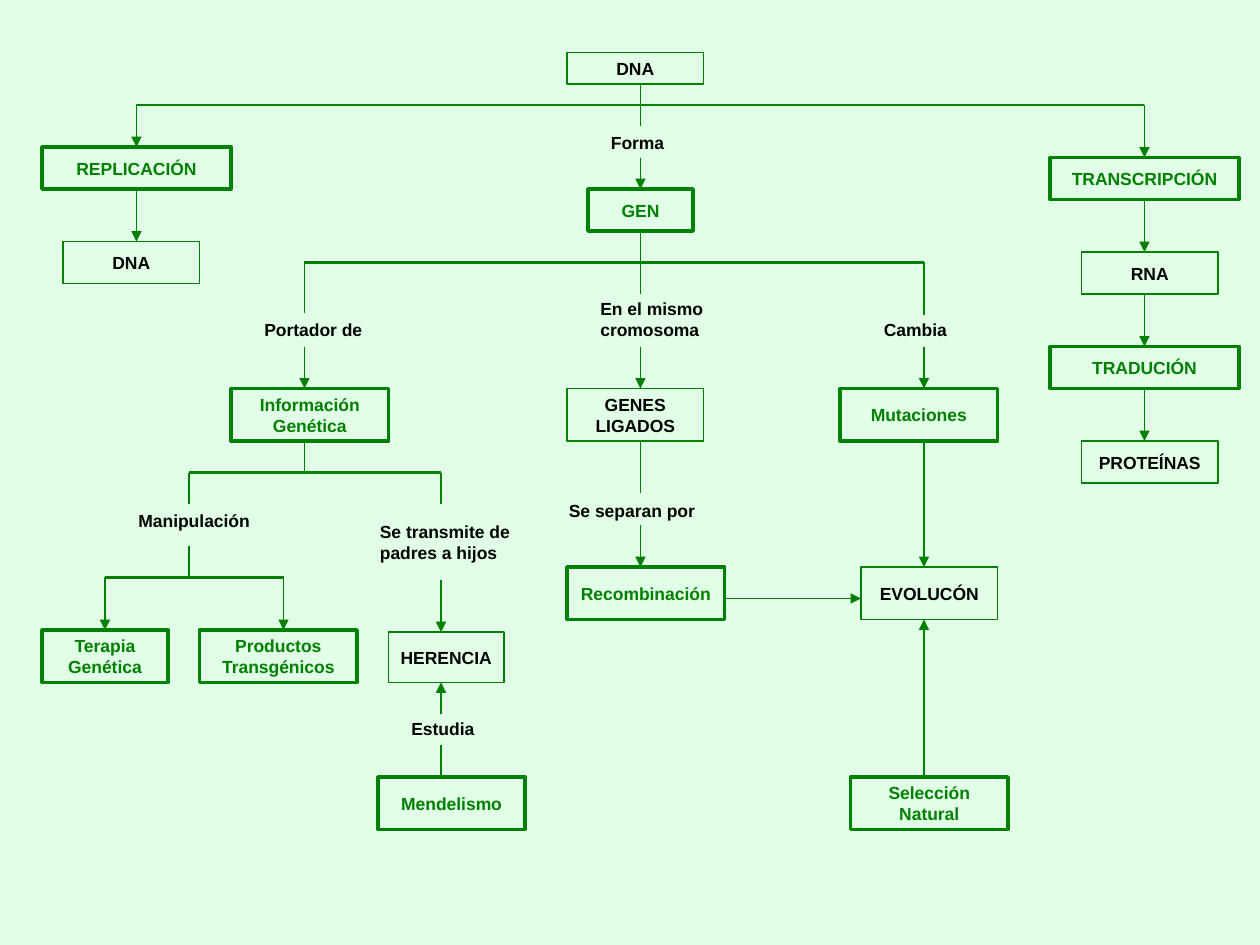
from dataclasses import dataclass

from pptx import Presentation
from pptx.dml.color import RGBColor
from pptx.enum.shapes import MSO_CONNECTOR, MSO_SHAPE
from pptx.enum.text import MSO_ANCHOR, MSO_AUTO_SIZE, PP_ALIGN
from pptx.oxml.ns import qn
from pptx.util import Emu, Pt
from lxml.etree import SubElement


@dataclass(frozen=True)
class Theme:
    back: RGBColor = RGBColor(0xE1, 0xFF, 0xE6)
    green: RGBColor = RGBColor(0x00, 0x80, 0x00)
    black: RGBColor = RGBColor(0, 0, 0)
    font: str = "Arial"
    size: Pt = Pt(10)
    thin: Pt = Pt(0.75)
    rail: Pt = Pt(1.5)
    thick: Pt = Pt(2)


THEME = Theme()
EMU_PER_PX = 7620

KEY_BOXES = [
    ("REPLICACIÓN", 40, 140, 180, 40),
    ("TRANSCRIPCIÓN", 1000, 150, 180, 40),
    ("TRADUCIÓN", 1000, 330, 180, 40),
    ("GEN", 560, 180, 100, 40),
    ("Información\nGenética", 220, 370, 150, 50),
    ("Mutaciones", 800, 370, 150, 50),
    ("Recombinación", 540, 540, 150, 50),
    ("Terapia\nGenética", 40, 600, 120, 50),
    ("Productos\nTransgénicos", 190, 600, 150, 50),
    ("Mendelismo", 360, 740, 140, 50),
    ("Selección\nNatural", 810, 740, 150, 50),
]
PLAIN_BOXES = [
    ("DNA", 540, 50, 130, 30),
    ("DNA", 60, 230, 130, 40),
    ("RNA", 1030, 240, 130, 40),
    ("PROTEÍNAS", 1030, 420, 130, 40),
    ("GENES\nLIGADOS", 540, 370, 130, 50),
    ("EVOLUCÓN", 820, 540, 130, 50),
    ("HERENCIA", 370, 602, 110, 48),
]
LABELS = [
    ("Forma", 570, 120, 90, 32),
    ("Portador de", 240, 298, 130, 32),
    ("En el mismo cromosoma", 560, 278, 130, 53),
    ("Cambia", 830, 298, 100, 32),
    ("Manipulación", 120, 480, 160, 32),
    ("Se transmite de padres a hijos", 350, 490, 160, 53),
    ("Se separan por", 530, 470, 160, 32),
    ("Estudia", 380, 678, 100, 32),
]
RAILS = [(100, 130, 1090), (250, 290, 880), (450, 180, 420), (550, 100, 270)]
STEMS = [
    (610, 80, 100), (610, 100, 120), (610, 220, 280), (610, 420, 470),
    (290, 249, 298), (290, 420, 450), (880, 250, 300),
    (180, 450, 480), (180, 520, 550), (420, 450, 480), (420, 710, 740),
]
ARROWS = [
    (130, 100, 140), (130, 180, 230),
    (610, 150, 180), (610, 330, 370), (610, 500, 540),
    (290, 330, 370), (880, 330, 370), (880, 420, 540), (880, 740, 590),
    (100, 550, 600), (270, 550, 600), (420, 552, 602), (420, 680, 650),
    (1090, 100, 150), (1090, 190, 240), (1090, 280, 330), (1090, 370, 420),
]


def px(*values):
    return [Emu(v * EMU_PER_PX) for v in values]


def add_line(s, x1, y1, x2, y2, width=THEME.thin, arrow=False):
    line = s.shapes.add_connector(MSO_CONNECTOR.STRAIGHT, *px(x1, y1, x2, y2))
    line.line.color.rgb = THEME.green
    line.line.width = width
    if arrow:
        SubElement(line.line._get_or_add_ln(), qn("a:tailEnd"), type="triangle")
    SubElement(line._element.spPr, qn("a:effectLst"))


def write(tf, text, color, align):
    tf.text = text
    for p in tf.paragraphs:
        p.alignment = align
        p.font.name = THEME.font
        p.font.size = THEME.size
        p.font.bold = True
        p.font.color.rgb = color


def add_box(s, text, x, y, w, h, color, width):
    sp = s.shapes.add_shape(MSO_SHAPE.RECTANGLE, *px(x, y, w, h))
    sp.shadow.inherit = False
    sp.fill.solid()
    sp.fill.fore_color.rgb = THEME.back
    sp.line.color.rgb = THEME.green
    sp.line.width = width
    tf = sp.text_frame
    tf.word_wrap = False
    tf.vertical_anchor = MSO_ANCHOR.MIDDLE
    write(tf, text, color, PP_ALIGN.CENTER)


def add_label(s, text, x, y, w, h):
    tf = s.shapes.add_textbox(*px(x, y, w, h)).text_frame
    tf.word_wrap = True
    tf.auto_size = MSO_AUTO_SIZE.SHAPE_TO_FIT_TEXT
    write(tf, text, THEME.black, PP_ALIGN.LEFT)


def main():
    prs = Presentation()
    prs.slide_width, prs.slide_height = px(1200, 900)
    s = prs.slides.add_slide(prs.slide_layouts[6])
    s.background.fill.solid()
    s.background.fill.fore_color.rgb = THEME.back

    for y, left, right in RAILS:
        add_line(s, left, y, right, y, THEME.rail)
    for x, start, end in STEMS:
        add_line(s, x, start, x, end)
    for x, start, end in ARROWS:
        add_line(s, x, start, x, end, arrow=True)
    add_line(s, 690, 570, 820, 570, arrow=True)

    for box in KEY_BOXES:
        add_box(s, *box, THEME.green, THEME.thick)
    for box in PLAIN_BOXES:
        add_box(s, *box, THEME.black, THEME.thin)
    for label in LABELS:
        add_label(s, *label)

    prs.save("out.pptx")


if __name__ == "__main__":
    main()
